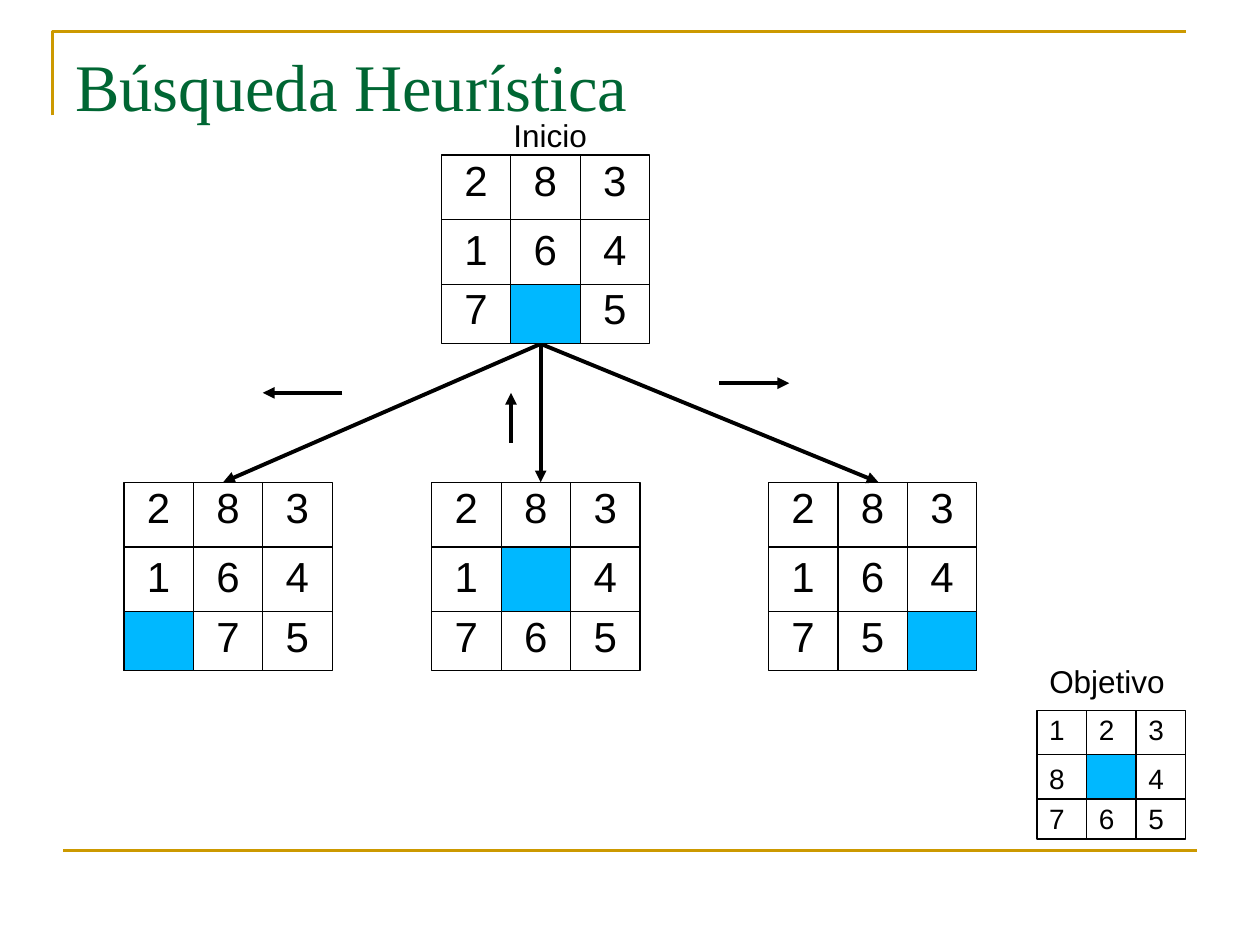
from lxml import etree
from pptx import Presentation, util as u
from pptx.dml.color import RGBColor
from pptx.enum import shapes, text
from pptx.oxml.ns import qn

Pt = u.Pt
BLACK, GOLD, GREEN, BLUE = "000000", "CC9900", "006633", "00B8FF"

# Board geometry: size, row edges, digit offsets, digit box, font size
BIG = dict(width=119.1, rows=(0, 37, 74, 107.75), dx=6,
           dy=(0.2, 39.6, 73.5), box=(27.4, 32.4), size=24)
SMALL = dict(width=85, rows=(0, 25.3, 50.6, 73.5), dx=0,
             dy=(0, 28, 51), box=(23.2, 23.8), size=16)


def rgb(color):
    return RGBColor.from_string(color)


def set_line(sp, color, weight):
    sp.line.color.rgb = rgb(color)
    sp.line.width = Pt(weight)


def add_text(s, x, y, w, h, value, size, font="Arial", color=BLACK,
             wrap=False, spacing=0.87, anchor=text.MSO_ANCHOR.TOP):
    tf = s.shapes.add_textbox(Pt(x), Pt(y), Pt(w), Pt(h)).text_frame
    tf.word_wrap = wrap
    tf.vertical_anchor = anchor
    p = tf.paragraphs[0]
    p.line_spacing = spacing
    r = p.add_run()
    r.text = value
    r.font.size = Pt(size)
    r.font.name = font
    r.font.color.rgb = rgb(color)


def add_rect(s, x, y, w, h, fill=None):
    sp = s.shapes.add_shape(shapes.MSO_SHAPE.RECTANGLE, Pt(x), Pt(y), Pt(w), Pt(h))
    sp.shadow.inherit = False
    if fill:
        sp.fill.solid()
        sp.fill.fore_color.rgb = rgb(fill)
    else:
        sp.fill.background()
    set_line(sp, BLACK, 0.74)


def add_line(s, x1, y1, x2, y2, color=BLACK, weight=0.74, arrow=False):
    sp = s.shapes.add_connector(shapes.MSO_CONNECTOR.STRAIGHT,
                                Pt(x1), Pt(y1), Pt(x2), Pt(y2))
    set_line(sp, color, weight)
    sp_pr = sp.element.spPr
    if arrow:
        etree.SubElement(sp_pr.find(qn("a:ln")), qn("a:tailEnd"), type="triangle")
    etree.SubElement(sp_pr, qn("a:effectLst"))


def add_arrow(s, x1, y1, x2, y2):
    add_line(s, x1, y1, x2, y2, weight=2.24, arrow=True)


def add_frame(s):
    fb = s.shapes.build_freeform(Pt(30), Pt(66))
    fb.add_line_segments([(Pt(30), Pt(18)), (Pt(678), Pt(18))], close=False)
    sp = fb.convert_to_shape()
    sp.shadow.inherit = False
    sp.fill.background()
    set_line(sp, GOLD, 1.5)
    add_line(s, 36, 486, 684, 486, GOLD, 1.5)


def add_board(s, x, y, state, kind):
    """Draw a 3 x 3 puzzle; a space in state is the empty cell."""
    width, rows = kind["width"], kind["rows"]
    col = width / 3
    add_rect(s, x, y, width, rows[3])
    for i in (1, 2):
        add_line(s, x + i * col, y, x + i * col, y + rows[3])
        add_line(s, x, y + rows[i], x + width, y + rows[i])
    for i, digit in enumerate(state):
        row, c = divmod(i, 3)
        left = x + c * col
        if digit == " ":
            add_rect(s, left, y + rows[row], col, rows[row + 1] - rows[row], BLUE)
        else:
            add_text(s, left + kind["dx"], y + kind["dy"][row], *kind["box"],
                     digit, kind["size"])


def main():
    prs = Presentation()
    prs.slide_width, prs.slide_height = Pt(720), Pt(540)
    s = prs.slides.add_slide(prs.slide_layouts[6])

    # Frame and title
    add_frame(s)
    add_text(s, 36, 20.6, 648, 56.2, "Búsqueda Heurística", 38, "Times New Roman",
             GREEN, wrap=True, spacing=1.0, anchor=text.MSO_ANCHOR.MIDDLE)

    # Search tree: from the start state to its three successors
    for x in (127.5, 309, 502):
        add_arrow(s, 309, 196.5, x, 275.6)
    add_board(s, 252.2, 88.5, "2831647 5", BIG)
    for x, state in ((70.8, "283164 75"), (246.7, "2831 4765"), (439.1, "28316475 ")):
        add_board(s, x, 275.6, state, BIG)

    # Goal state
    add_board(s, 592.5, 406, "1238 4765", SMALL)

    # Moves of the empty cell: left, up, right
    add_arrow(s, 195.6, 224.5, 150.2, 224.5)
    add_arrow(s, 292, 253, 292, 224.5)
    add_arrow(s, 411, 219, 451, 219)

    # Labels, wide enough to stay on one line
    add_text(s, 286.2, 65.8, 62, 26, "Inicio", 18, wrap=True)
    add_text(s, 592.5, 377.7, 90, 26, "Objetivo", 18, wrap=True)

    prs.save("out.pptx")


main()
